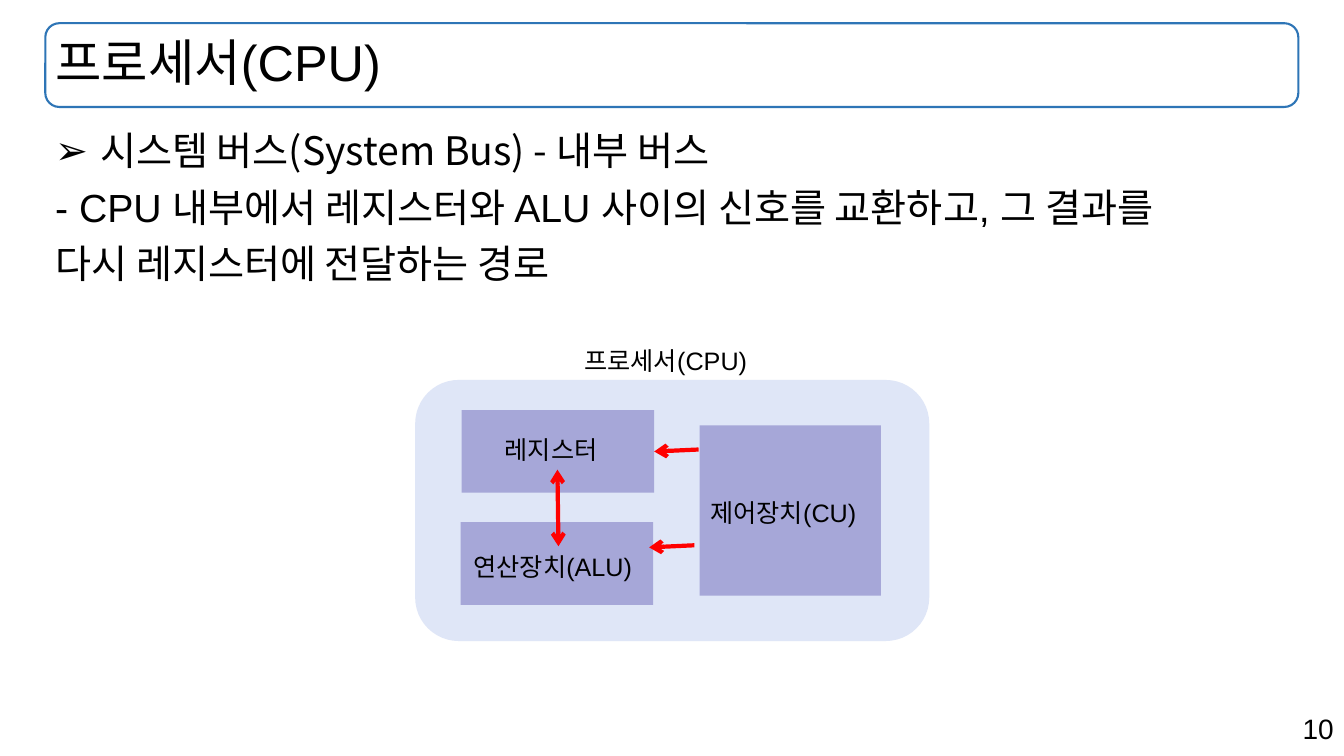
from dataclasses import dataclass

from lxml import etree
from pptx import Presentation
from pptx.dml.color import RGBColor
from pptx.enum.shapes import MSO_CONNECTOR, MSO_SHAPE
from pptx.enum.text import MSO_ANCHOR, PP_ALIGN
from pptx.oxml.ns import qn
from pptx.util import Pt

BLACK = RGBColor(0x00, 0x00, 0x00)
BLUE = RGBColor(0x2E, 0x75, 0xB6)
PALE = RGBColor(0xDF, 0xE6, 0xF7)
LILAC = RGBColor(0xA6, 0xA7, 0xD8)
RED = RGBColor(0xFF, 0x00, 0x00)
LATIN = "Arial"
KOREAN = "Noto Sans CJK KR"


@dataclass
class Area:
    left: float
    top: float
    width: float
    height: float

    def lengths(self) -> list:
        return [Pt(n) for n in (self.left, self.top, self.width, self.height)]


@dataclass
class Label:
    text: str
    area: Area
    size: float = 18
    align: PP_ALIGN = PP_ALIGN.LEFT
    wrap: bool = False


@dataclass
class Arrow:
    start: tuple[float, float]
    end: tuple[float, float]
    ends: tuple[str, ...] = ("tailEnd",)
    target: str = ""


HEADER = Area(32.4, 16.6, 895, 59.8)
BODY = Area(32.4, 90.7, 895, 398.2)
PROCESSOR = Area(296.6, 271.4, 367.2, 186.5)
UNITS = {
    "register": Area(329.8, 293, 137.5, 59),
    "control": Area(499.7, 303.8, 129.6, 121.7),
    "arithmetic": Area(329, 373, 137.5, 59),
}
LABELS = [
    Label("10", Area(679, 504.7, 280.8, 31.7), 20, PP_ALIGN.RIGHT, True),
    Label("프로세서(CPU)", Area(410.4, 243.4, 139, 28)),
    Label("레지스터", Area(353.5, 306.7, 89.3, 28.8)),
    Label("연산장치(ALU)", Area(331.2, 390.2, 136, 28)),
    Label("제어장치(CU)", Area(500.4, 352, 127.4, 28)),
]
ARROWS = [
    Arrow((499, 321.1), (467.3, 322.5), target="register"),
    Arrow((496, 389.5), (463.7, 391)),
    Arrow((398.2, 335.5), (398.9, 390.2), ("headEnd", "tailEnd")),
]
BODY_LINES = [
    ("시스템 버스(System Bus) - 내부 버스", KOREAN),
    ("- CPU 내부에서 레지스터와 ALU 사이의 신호를 교환하고, 그 결과를", LATIN),
    ("다시 레지스터에 전달하는 경로", LATIN),
]


def add_span(para, text: str, size: float, font: str = LATIN) -> None:
    span = para.add_run()
    span.text = text
    span.font.size = Pt(size)
    span.font.name = font
    span.font.color.rgb = BLACK
    east_asian = etree.SubElement(span.font._element, qn("a:ea"))
    east_asian.set("typeface", KOREAN)


def add_box(slide, kind: MSO_SHAPE, area: Area, fill: RGBColor | None = None):
    box = slide.shapes.add_shape(kind, *area.lengths())
    box.shadow.inherit = False
    if fill is None:
        box.fill.background()
        box.line.color.rgb = BLUE
        box.line.width = Pt(1.5)
    else:
        box.fill.solid()
        box.fill.fore_color.rgb = fill
        box.line.fill.background()
    return box


def add_label(slide, label: Label) -> None:
    box = slide.shapes.add_textbox(*label.area.lengths())
    box.text_frame.word_wrap = label.wrap
    para = box.text_frame.paragraphs[0]
    para.alignment = label.align
    add_span(para, label.text, label.size)


def add_arrow(slide, arrow: Arrow, units: dict) -> None:
    points = [Pt(n) for n in arrow.start + arrow.end]
    line = slide.shapes.add_connector(MSO_CONNECTOR.STRAIGHT, *points)
    if arrow.target:
        line.end_connect(units[arrow.target], 3)
    line.line.color.rgb = RED
    line.line.width = Pt(3)
    outline = line.line._get_or_add_ln()
    for end in arrow.ends:
        etree.SubElement(outline, qn(f"a:{end}")).set("type", "arrow")
    etree.SubElement(line._element.spPr, qn("a:effectLst"))


def add_title(slide) -> None:
    title = slide.shapes.title
    title.left, title.top, title.width, title.height = HEADER.lengths()
    title.text_frame.word_wrap = True
    title.text_frame.vertical_anchor = MSO_ANCHOR.MIDDLE
    para = title.text_frame.paragraphs[0]
    para.alignment = PP_ALIGN.LEFT
    para.line_spacing = 0.9
    add_span(para, "프로세서(CPU)", 36)


def add_body(slide) -> None:
    frame = slide.shapes.add_textbox(*BODY.lengths()).text_frame
    frame.word_wrap = True
    for index, (text, font) in enumerate(BODY_LINES):
        para = frame.add_paragraph() if index else frame.paragraphs[0]
        para.line_spacing = 0.9
        if index:
            para.space_before = Pt(10)
        else:
            properties = para._p.get_or_add_pPr()
            properties.set("marL", str(Pt(32)))
            properties.set("indent", str(Pt(-32)))
            etree.SubElement(properties, qn("a:buFont")).set("typeface", LATIN)
            etree.SubElement(properties, qn("a:buChar")).set("char", "➢")
        add_span(para, text, 28, font)


def main() -> None:
    deck = Presentation()
    deck.slide_width, deck.slide_height = Pt(960), Pt(540)
    slide = deck.slides.add_slide(deck.slide_layouts[5])

    # Header and explanation
    add_box(slide, MSO_SHAPE.ROUNDED_RECTANGLE, HEADER)
    add_title(slide)
    add_body(slide)

    # Processor diagram
    add_box(slide, MSO_SHAPE.ROUNDED_RECTANGLE, PROCESSOR, PALE)
    units = {
        name: add_box(slide, MSO_SHAPE.RECTANGLE, area, LILAC)
        for name, area in UNITS.items()
    }
    for label in LABELS:
        add_label(slide, label)
    for arrow in ARROWS:
        add_arrow(slide, arrow, units)

    deck.save("out.pptx")


if __name__ == "__main__":
    main()
